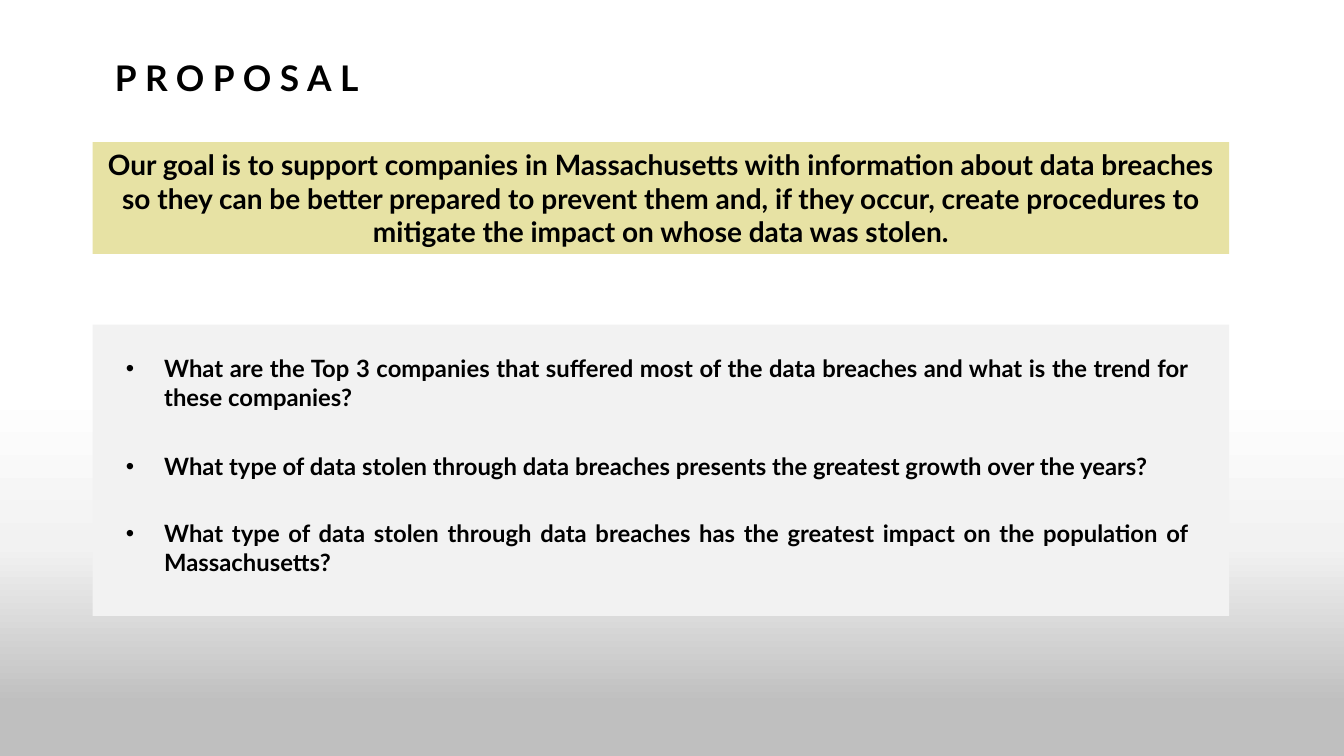
"""Build the proposal slide with its goal and research questions."""
from copy import deepcopy
from dataclasses import dataclass

from lxml import etree
from pptx import Presentation
from pptx.dml.color import RGBColor
from pptx.enum.shapes import MSO_SHAPE
from pptx.enum.text import MSO_ANCHOR, MSO_AUTO_SIZE, PP_ALIGN
from pptx.oxml.ns import qn
from pptx.shapes.autoshape import Shape
from pptx.slide import Slide
from pptx.text.text import TextFrame
from pptx.util import Inches, Pt

RECT = MSO_SHAPE.RECTANGLE
LEFT, CENTER, JUSTIFY = PP_ALIGN.LEFT, PP_ALIGN.CENTER, PP_ALIGN.JUSTIFY
BOTTOM, MIDDLE = MSO_ANCHOR.BOTTOM, MSO_ANCHOR.MIDDLE
NO_FIT = MSO_AUTO_SIZE.NONE

FONT = "Lato"
COLORS = {
    "ink": "000000",
    "gold": "E7E2A4",
    "pale": "F2F2F2",
    "gray": "BFBFBF",
    "white": "FFFFFF",
}
WIDTH, HEIGHT = 13.33, 7.5
INDENT = 0.38
FADE = ((0.14, "gray"), (0.57, "pale"), (1.0, "white"))
GOAL = (
    "Our goal is to support companies in Massachusetts with information about "
    "data breaches so they can be better prepared to prevent them and, if they "
    "occur, create procedures to mitigate the impact on whose data was stolen."
)


@dataclass(frozen=True)
class Box:
    left: float
    top: float
    width: float
    height: float

    def spots(self) -> list[Inches]:
        return [Inches(n) for n in (self.left, self.top, self.width, self.height)]


@dataclass(frozen=True)
class Query:
    top: float
    height: float
    text: str


QUERIES = (
    Query(3.46, 0.67, "What are the Top 3 companies that suffered most of the data "
          "breaches and what is the trend for these companies?"),
    Query(4.43, 0.39, "What type of data stolen through data breaches presents the "
          "greatest growth over the years?"),
    Query(5.1, 0.67, "What type of data stolen through data breaches has the "
          "greatest impact on the population of Massachusetts?"),
)


def color(name: str) -> RGBColor:
    return RGBColor.from_string(COLORS[name])


def write(frame: TextFrame, text: str, size: float, align: PP_ALIGN) -> None:
    frame.text = text
    frame.word_wrap = True
    frame.auto_size = NO_FIT
    line = frame.paragraphs[0]
    line.alignment = align
    font = line.runs[0].font
    font.name, font.size, font.bold = FONT, Pt(size), True
    font.color.rgb = color("ink")


def add_panel(slide: Slide, box: Box, fill: str) -> Shape:
    panel = slide.shapes.add_shape(RECT, *box.spots())
    panel.shadow.inherit = False
    panel.line.fill.background()
    panel.fill.solid()
    panel.fill.fore_color.rgb = color(fill)
    return panel


def add_fade(slide: Slide, box: Box) -> None:
    fill = add_panel(slide, box, "white").fill
    fill.gradient()
    fill.gradient_angle = 90
    last = fill.gradient_stops[1].color._xFill
    last.addnext(deepcopy(last))
    for stop, (place, name) in zip(fill.gradient_stops, FADE):
        stop.position = place
        stop.color.rgb = color(name)


def add_title(slide: Slide, box: Box) -> None:
    title = slide.shapes.title
    title.left, title.top, title.width, title.height = box.spots()
    frame = title.text_frame
    write(frame, "PROPOSAL", 25.2, LEFT)
    frame.vertical_anchor = BOTTOM
    line = frame.paragraphs[0]
    line.line_spacing = 1.2
    line.runs[0].font._element.set("spc", "600")


def add_query(slide: Slide, query: Query) -> None:
    box = Box(1.15, query.top, 10.74, query.height)
    frame = slide.shapes.add_textbox(*box.spots()).text_frame
    write(frame, query.text, 17, JUSTIFY)
    props = frame.paragraphs[0]._p.get_or_add_pPr()
    props.set("marL", str(Inches(INDENT)))
    props.set("indent", str(-Inches(INDENT)))
    etree.SubElement(props, qn("a:buFont"), typeface="Arial")
    etree.SubElement(props, qn("a:buChar"), char="•")


def main() -> None:
    deck = Presentation()
    deck.slide_width, deck.slide_height = Inches(WIDTH), Inches(HEIGHT)
    slide = deck.slides.add_slide(deck.slide_layouts[5])
    add_fade(slide, Box(0, 3.84, WIDTH, 3.66))
    add_panel(slide, Box(0.92, 3.22, 11.27, 2.89), "pale")
    add_title(slide, Box(1.04, 0.56, 11.25, 0.47))
    goal = add_panel(slide, Box(0.92, 1.41, 11.27, 1.11), "gold")
    write(goal.text_frame, GOAL, 20, CENTER)
    goal.text_frame.vertical_anchor = MIDDLE
    for query in QUERIES:
        add_query(slide, query)
    deck.save("out.pptx")


if __name__ == "__main__":
    main()
